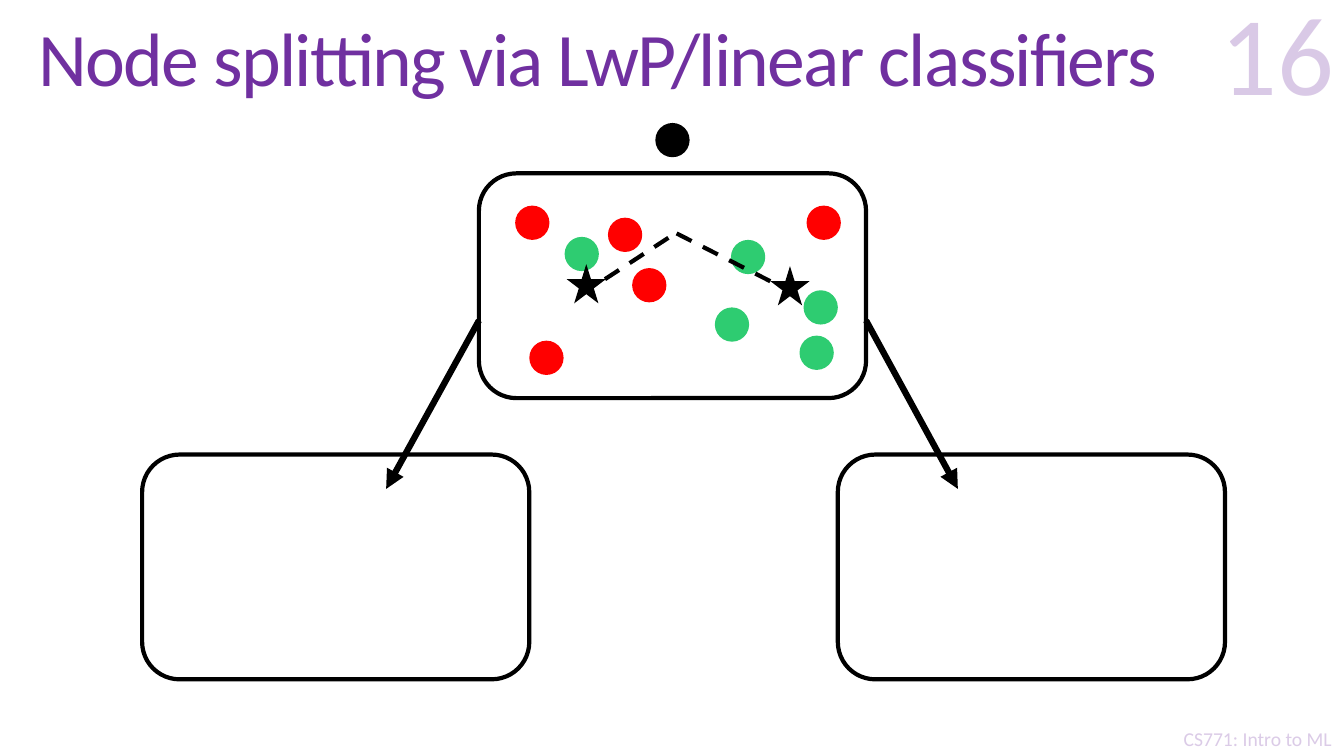
import pptx
import pptx.util
import pptx.dml.color
import pptx.enum.dml
import pptx.enum.shapes
import pptx.enum.text
import pptx.oxml
from pptx.oxml.ns import qn

PX = 9144  # 100 px to the inch
BLACK, WHITE, RED, GREEN, PURPLE = "000000", "FFFFFF", "FF0000", "2ECC71", "7030A0"
KIND = pptx.enum.shapes.MSO_SHAPE
ALIGN = pptx.enum.text.PP_ALIGN
ANCHOR = pptx.enum.text.MSO_ANCHOR
FIT = pptx.enum.text.MSO_AUTO_SIZE


def paint(fill, color, alpha=100):
    fill.solid()
    fill.fore_color.rgb = pptx.dml.color.RGBColor.from_string(color)
    if alpha < 100:
        node = fill._xPr.find(".//" + qn("a:srgbClr"))
        pptx.oxml.xmlchemy.OxmlElement  # element factory
        tint = node.makeelement(qn("a:alpha"), {"val": str(alpha * 1000)})
        node.append(tint)


def write(shape, text, size, align, anchor, alpha=100):
    frame = shape.text_frame
    frame.auto_size = FIT.NONE
    frame.vertical_anchor = anchor
    para = frame.paragraphs[0]
    para.alignment = align
    run = para.add_run()
    run.text = text
    run.font.name = "Calibri"
    run.font.size = pptx.util.Pt(size)
    paint(run.font.fill, PURPLE, alpha)
    return para


deck = pptx.Presentation()
deck.slide_width, deck.slide_height = 1333 * PX, 750 * PX
slide = deck.slides.add_slide(deck.slide_layouts[5])
shapes = slide.shapes

# Footer under a pale veil
foot = shapes.add_textbox(1152 * PX, 716 * PX, 191 * PX, 34 * PX)
foot.text_frame.word_wrap = False
write(foot, "CS771: Intro to ML", 14, ALIGN.CENTER, ANCHOR.TOP)
veil = shapes.add_shape(KIND.RECTANGLE, 1164 * PX, 568 * PX, 169 * PX, 182 * PX)
veil.shadow.inherit = False
veil.line.fill.background()
paint(veil.fill, WHITE, 75)

# Title and page number
title = shapes.title
title.left, title.top, title.width, title.height = 28 * PX, 4 * PX, 1269 * PX, 118 * PX
head = write(title, "Node splitting via LwP/linear classifiers", 54, ALIGN.LEFT, ANCHOR.MIDDLE)
head.line_spacing = 0.85
head.runs[0].font._element.set("spc", "-120")
page = shapes.add_textbox(1013 * PX, 5 * PX, 320 * PX, 117 * PX)
page.text_frame.word_wrap = True
write(page, "16", 80, ALIGN.RIGHT, ANCHOR.BOTTOM, 25)

# Tree nodes: parent and two children
for x, y in [(475, 172), (141, 451), (831, 451)]:
    node = shapes.add_shape(KIND.ROUNDED_RECTANGLE, x * PX, y * PX, 384 * PX, 223 * PX)
    node.shadow.inherit = False
    node.fill.background()
    paint(node.line.fill, BLACK)
    node.line.width = pptx.util.Pt(3)

# Data points, prototypes and the root marker
marks = [
    (KIND.OVAL, 34, RED, [(511, 204), (603, 216), (627, 266), (525, 338), (800, 204)]),
    (KIND.OVAL, 34, GREEN, [(560, 235), (725, 238), (709, 305), (793, 333), (797, 288)]),
    (KIND.OVAL, 34, BLACK, [(650, 122)]),
    (KIND.STAR_5_POINT, 39, BLACK, [(562, 262), (764, 264)]),
]
for kind, size, color, spots in marks:
    for x, y in spots:
        mark = shapes.add_shape(kind, x * PX, y * PX, size * PX, size * PX)
        mark.shadow.inherit = False
        mark.line.fill.background()
        paint(mark.fill, color)

# Branch arrows and dashed distances
lines = [
    (475, 318, 383, 485, True),
    (859, 318, 950, 485, True),
    (600, 277, 669, 232, False),
    (764, 279, 666, 229, False),
]
for x1, y1, x2, y2, arrow in lines:
    link = shapes.add_connector(
        pptx.enum.shapes.MSO_CONNECTOR.STRAIGHT, x1 * PX, y1 * PX, x2 * PX, y2 * PX)
    paint(link.line.fill, BLACK)
    link.line.width = pptx.util.Pt(4.5 if arrow else 3)
    if arrow:
        edge = link.line._get_or_add_ln()
        edge.append(edge.makeelement(qn("a:tailEnd"), {"type": "triangle"}))
    else:
        link.line.dash_style = pptx.enum.dml.MSO_LINE.DASH
    props = link._element.spPr
    props.append(props.makeelement(qn("a:effectLst"), {}))

deck.save("out.pptx")
